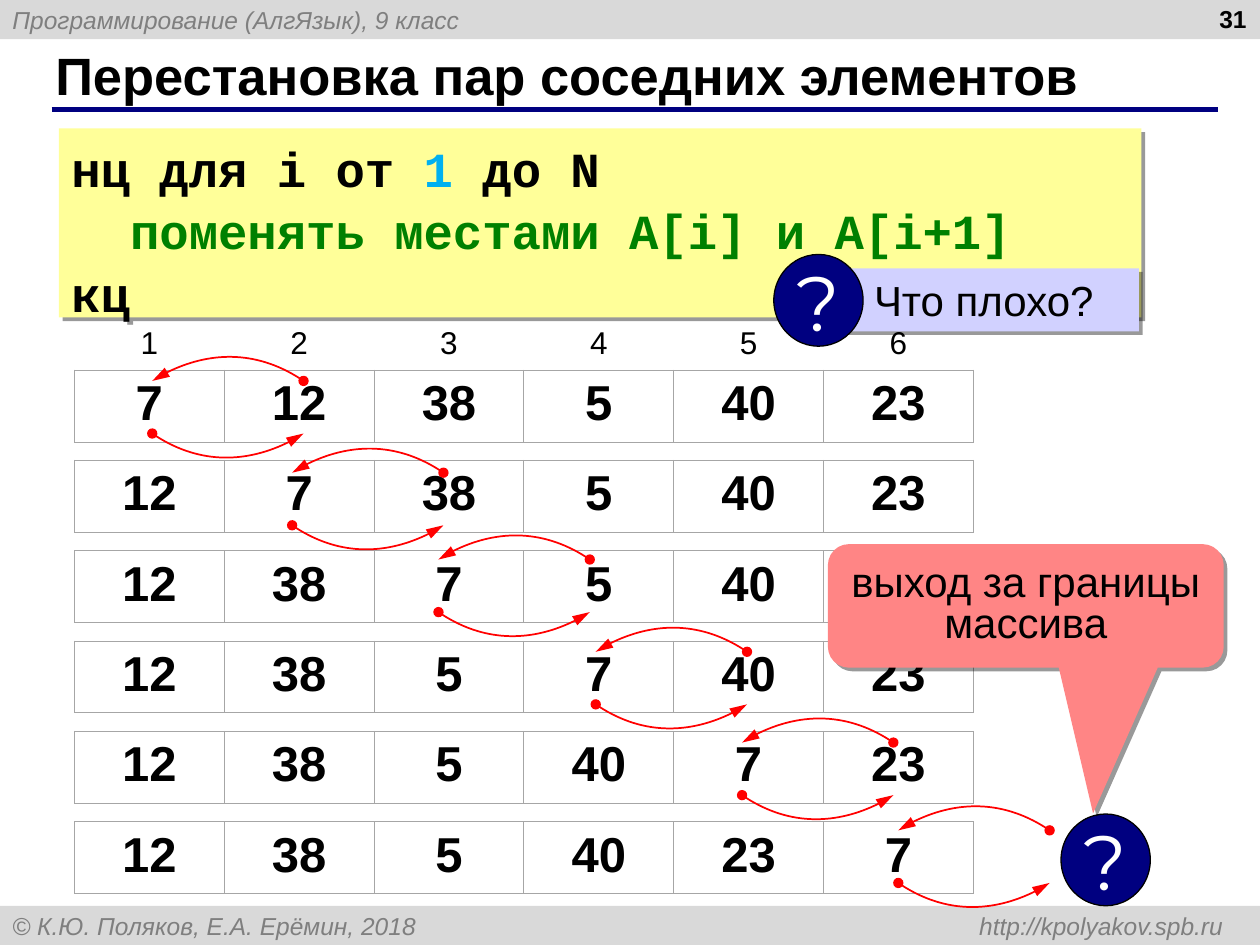
import pptx
import pptx.util
import pptx.dml.color
import pptx.enum.shapes
import pptx.enum.text
import pptx.oxml
import pptx.oxml.ns
from lxml import etree

Cm, Pt = pptx.util.Cm, pptx.util.Pt
SHAPE = pptx.enum.shapes.MSO_SHAPE
ALIGN = pptx.enum.text.PP_ALIGN
ANCHOR = pptx.enum.text.MSO_ANCHOR
qn = pptx.oxml.ns.qn

COLORS = {"bar": "D9D9D9", "muted": "7F7F7F", "navy": "000080", "black": "000000",
          "white": "FFFFFF", "code": "FFFF99", "number": "00B0F0", "comment": "008000",
          "question": "D1D1FF", "warning": "FF8585", "border": "A6A6A6", "arrow": "FF0000"}
NO_GRID_STYLE = "{2D5ABB26-0587-4C30-8999-92F81FD0307C}"
COL_W, HEAD_H, ROW_H, ROW_STEP = 3.02, 1.02, 1.45, 1.82
START = ["7", "12", "38", "5", "40", "23"]
SWAPS = [(3.07, 7.04), (5.89, 8.89), (8.84, 10.64),
         (12.01, 12.5), (14.96, 14.33), (18.11, 16.1)]


def rgb(name):
    return pptx.dml.color.RGBColor.from_string(COLORS[name])


def add_run(p, text, size, color="black", font="Arial", bold=False, italic=False):
    r = p.add_run()
    r.text = text
    r.font.size, r.font.name = Pt(size), font
    r.font.bold, r.font.italic = bold, italic
    r.font.color.rgb = rgb(color)


def add_box(s, kind, box, fill, line=None, shadow=False, anchor=ANCHOR.MIDDLE):
    sp = s.shapes.add_shape(kind, *map(Cm, box))
    sp.fill.solid()
    sp.fill.fore_color.rgb = rgb(fill)
    if line:
        sp.line.color.rgb = rgb(line)
        sp.line.width = Pt(0.75)
    else:
        sp.line.fill.background()
    sp.shadow.inherit = False
    if shadow:
        effects = sp._element.spPr.find(qn("a:effectLst"))
        outer = etree.SubElement(effects, qn("a:outerShdw"), blurRad="0", dist=str(Pt(3)),
                                 dir="2700000", algn="tl", rotWithShape="0")
        color = etree.SubElement(outer, qn("a:srgbClr"), val=COLORS["black"])
        etree.SubElement(color, qn("a:alpha"), val="40000")
    sp.text_frame.word_wrap = True
    sp.text_frame.vertical_anchor = anchor
    sp.text_frame.paragraphs[0].alignment = ALIGN.LEFT
    return sp


def add_bar(s, box, text):
    sp = add_box(s, SHAPE.RECTANGLE, box, "bar")
    p = sp.text_frame.paragraphs[0]
    add_run(p, text, 14, "muted", italic=True)
    return p


def add_frame(s, width, height):
    # Top and bottom bars
    add_bar(s, (0, 0, width, 0.79), "Программирование (АлгЯзык), 9 класс")
    p = add_bar(s, (0, height - 0.79, width, 0.79), "© К.Ю. Поляков, Е.А. Ерёмин, 2018 ")
    tabs = etree.SubElement(p._p.get_or_add_pPr(), qn("a:tabLst"))
    etree.SubElement(tabs, qn("a:tab"), pos=str(Cm(24.41)), algn="r")
    add_run(p, "\thttp://kpolyakov.spb.ru", 14, "muted", italic=True)

    # Rule under the title
    rule = s.shapes.add_connector(pptx.enum.shapes.MSO_CONNECTOR.STRAIGHT,
                                  Cm(1.04), Cm(2.21), Cm(24.56), Cm(2.21))
    rule.line.color.rgb = rgb("navy")
    rule.line.width = Pt(3)
    etree.SubElement(rule._element.spPr, qn("a:effectLst"))

    # Slide number
    tb = s.shapes.add_textbox(Cm(19.46), Cm(-0.05), Cm(5.92), Cm(1.32))
    tb.text_frame.word_wrap = True
    p = tb.text_frame.paragraphs[0]
    p.alignment = ALIGN.RIGHT
    add_run(p, "31", 14, bold=True)


def set_title(s, box, text):
    sp = s.shapes.title
    sp.left, sp.top, sp.width, sp.height = map(Cm, box)
    sp.text_frame.vertical_anchor = ANCHOR.MIDDLE
    p = sp.text_frame.paragraphs[0]
    p.alignment = ALIGN.LEFT
    add_run(p, text, 30, bold=True)


def add_code(s, box, lines):
    tf = add_box(s, SHAPE.RECTANGLE, box, "code", shadow=True, anchor=ANCHOR.TOP).text_frame
    tf.margin_right, tf.margin_top = 0, Cm(0.2)
    for i, line in enumerate(lines):
        p = tf.add_paragraph() if i else tf.paragraphs[0]
        p.alignment = ALIGN.LEFT
        p.space_before = Pt(2)
        for text, color in line:
            add_run(p, text, 28, color, "Courier New", bold=True)


def add_question_mark(s, left, top):
    sp = add_box(s, SHAPE.OVAL, (left, top, 1.8, 1.85), "navy", line="black")
    sp.text_frame.word_wrap = False
    p = sp.text_frame.paragraphs[0]
    p.alignment = ALIGN.CENTER
    add_run(p, "?", 44, "white", "Montserrat")


def add_question(s, left, top, text):
    sp = add_box(s, SHAPE.RECTANGLE, (left + 1.29, top + 0.28, 6.07, 1.27), "question",
                 shadow=True, anchor=ANCHOR.TOP)
    p = sp.text_frame.paragraphs[0]
    sp.text_frame.margin_left = Cm(0.73)
    add_run(p, text, 24)
    add_question_mark(s, left, top)


def add_array(s, left, top, values, header=None):
    """Place the values row at top, with the index row above it if given."""
    rows = [header, values] if header else [values]
    head_h = HEAD_H if header else 0
    frame = s.shapes.add_table(len(rows), len(values), Cm(left), Cm(top - head_h),
                               Cm(COL_W * len(values)), Cm(head_h + ROW_H))
    table = frame.table
    table.first_row = table.horz_banding = False
    table._tbl.tblPr.find(qn("a:tableStyleId")).text = NO_GRID_STYLE
    for col in table.columns:
        col.width = Cm(COL_W)
    for i, row in enumerate(rows):
        is_head = row is header
        table.rows[i].height = Cm(HEAD_H if is_head else ROW_H)
        for j, text in enumerate(row):
            cell = table.cell(i, j)
            p = cell.text_frame.paragraphs[0]
            p.alignment = ALIGN.CENTER
            add_run(p, text, 18 if is_head else 28, bold=not is_head)
            tc_pr = cell._tc.get_or_add_tcPr()
            for side in ["a:lnB"] if is_head else ["a:lnL", "a:lnR", "a:lnT", "a:lnB"]:
                ln = etree.SubElement(tc_pr, qn(side), w=str(Pt(0.45)))
                fill = etree.SubElement(ln, qn("a:solidFill"))
                etree.SubElement(fill, qn("a:srgbClr"), val=COLORS["border"])
            cell.fill.background()


def add_arc(s, points):
    """Draw a cubic curve with a dot at its start and an arrowhead at its end."""
    points = [(Cm(x), Cm(y)) for x, y in points]
    builder = s.shapes.build_freeform(*points[0])
    builder.add_line_segments(points[1:], close=False)
    sp = builder.convert_to_shape()
    outline = sp._element.find(".//" + qn("a:path"))
    segments = outline.findall(qn("a:lnTo"))
    curve = etree.SubElement(outline, qn("a:cubicBezTo"))
    for segment in segments:
        curve.append(segment[0])
        outline.remove(segment)
    sp.fill.background()
    sp.line.color.rgb = rgb("arrow")
    sp.line.width = Pt(1)
    sp.shadow.inherit = False
    ln = sp.line._get_or_add_ln()
    etree.SubElement(ln, qn("a:headEnd"), type="oval")
    etree.SubElement(ln, qn("a:tailEnd"), type="triangle", len="lg")


def add_swap(s, left, top):
    # The lower arc is the upper one turned by half a circle
    w, h, gap = 3.05, 0.64, 1.7
    upper = [(w, h), (2.13, 0), (0.86, 0.06), (0, h)]
    add_arc(s, [(left + x, top + y) for x, y in upper])
    add_arc(s, [(left + w - x, top + gap + h - y) for x, y in upper])


def add_callout(s, box, text):
    sp = add_box(s, SHAPE.ROUNDED_RECTANGULAR_CALLOUT, box, "warning", shadow=True)
    for i, value in enumerate((0.17, 1.68, 0.17)):
        sp.adjustments[i] = value
    p = sp.text_frame.paragraphs[0]
    p.alignment = ALIGN.CENTER
    p.line_spacing = 0.8
    add_run(p, text, 24)


def main():
    prs = pptx.Presentation()
    prs.slide_width, prs.slide_height = Cm(25.4), Cm(19.05)
    s = prs.slides.add_slide(prs.slide_layouts[5])

    add_frame(s, 25.4, 19.05)
    set_title(s, (0.86, 0.84, 23.27, 1.32), "Перестановка пар соседних элементов")
    add_code(s, (1.19, 2.59, 21.82, 3.81), [
        [("нц для i от ", "black"), ("1", "number"), (" до N", "black")],
        [("  ", "black"), ("поменять местами A[i] и A[i+1]", "comment")],
        [("кц", "black")]])
    add_question(s, 15.6, 5.13, "Что плохо?")

    # Array states: the first value moves one place right at each step
    first, rest = START[0], START[1:]
    for step, swap in enumerate(SWAPS):
        values = rest[:step] + [first] + rest[step:]
        header = [str(n + 1) for n in range(len(START))] if step == 0 else None
        add_array(s, 1.5, 7.46 + ROW_STEP * step, values, header)
    for swap in SWAPS:
        add_swap(s, *swap)

    # Step past the end of the array
    add_question_mark(s, 21.39, 16.41)
    add_callout(s, (16.69, 10.97, 7.98, 2.49), "выход за границы массива")
    prs.save("out.pptx")


if __name__ == "__main__":
    main()
